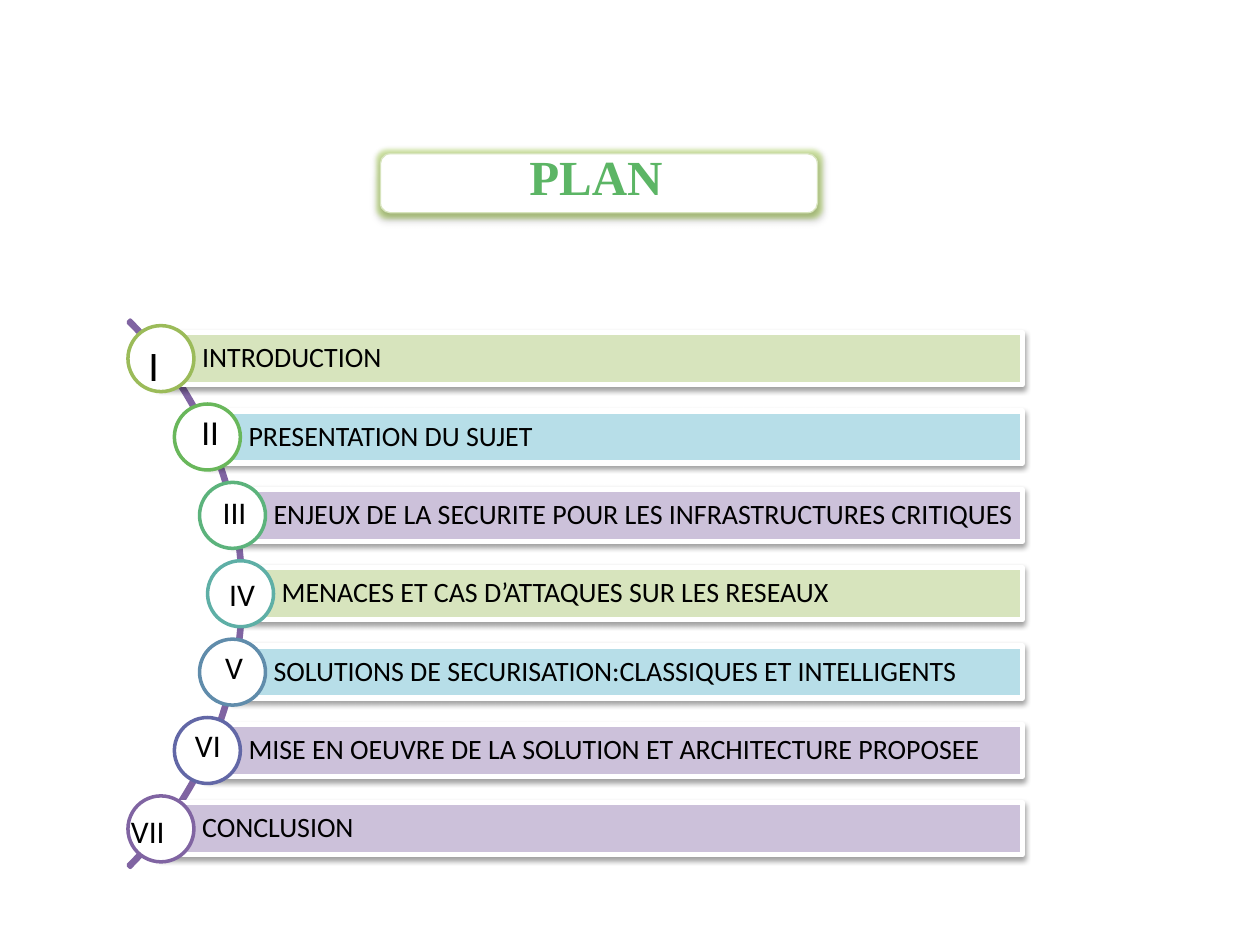
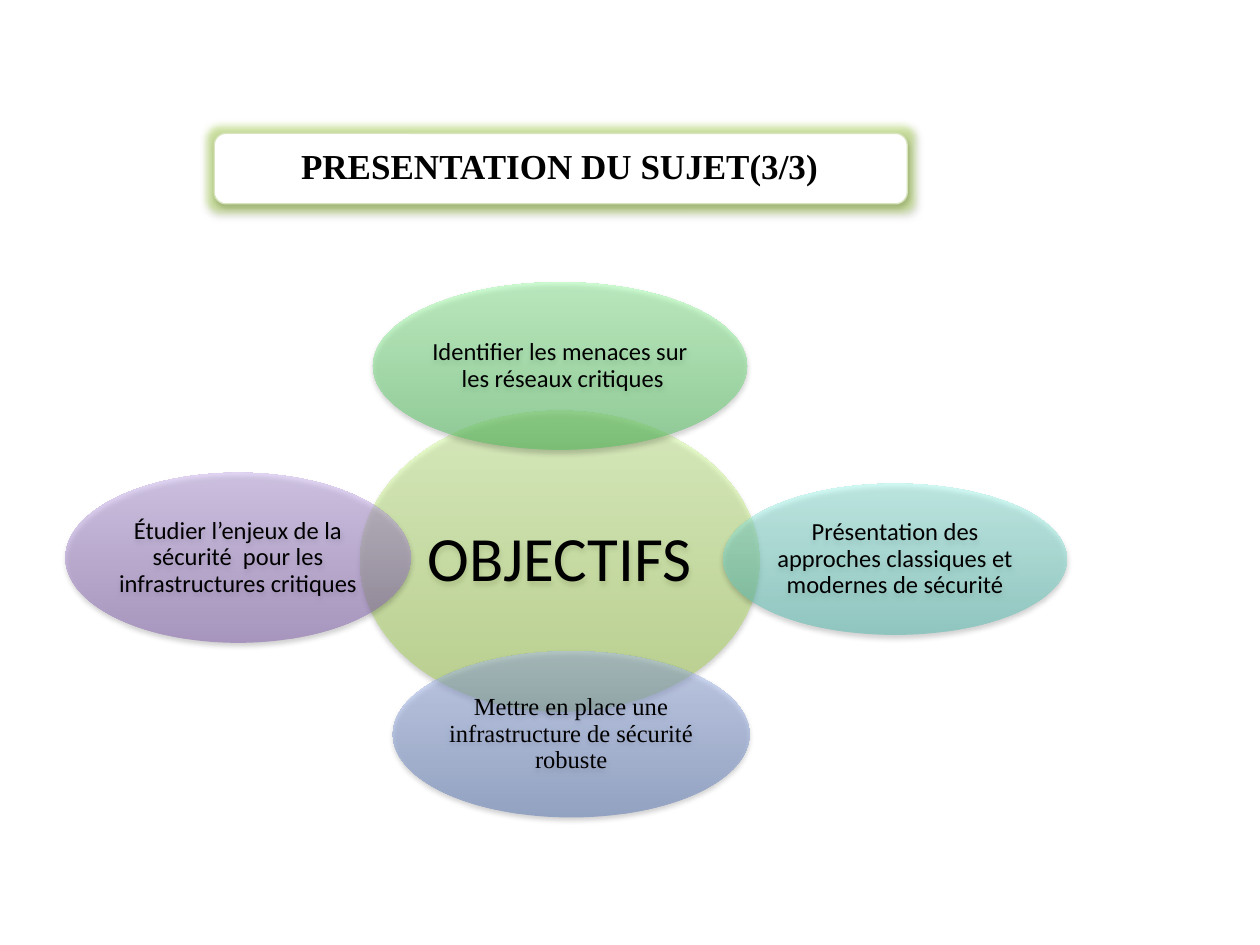
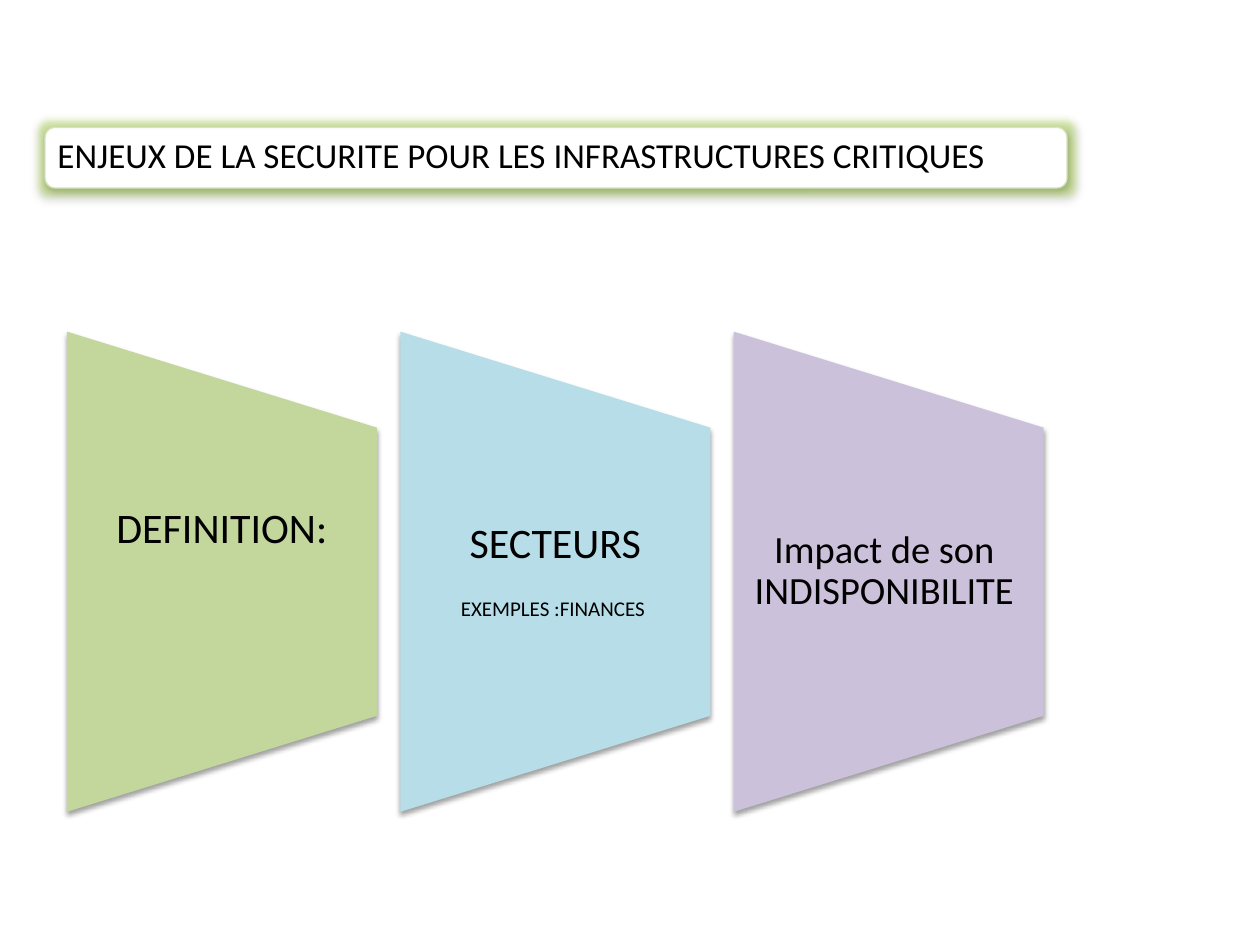
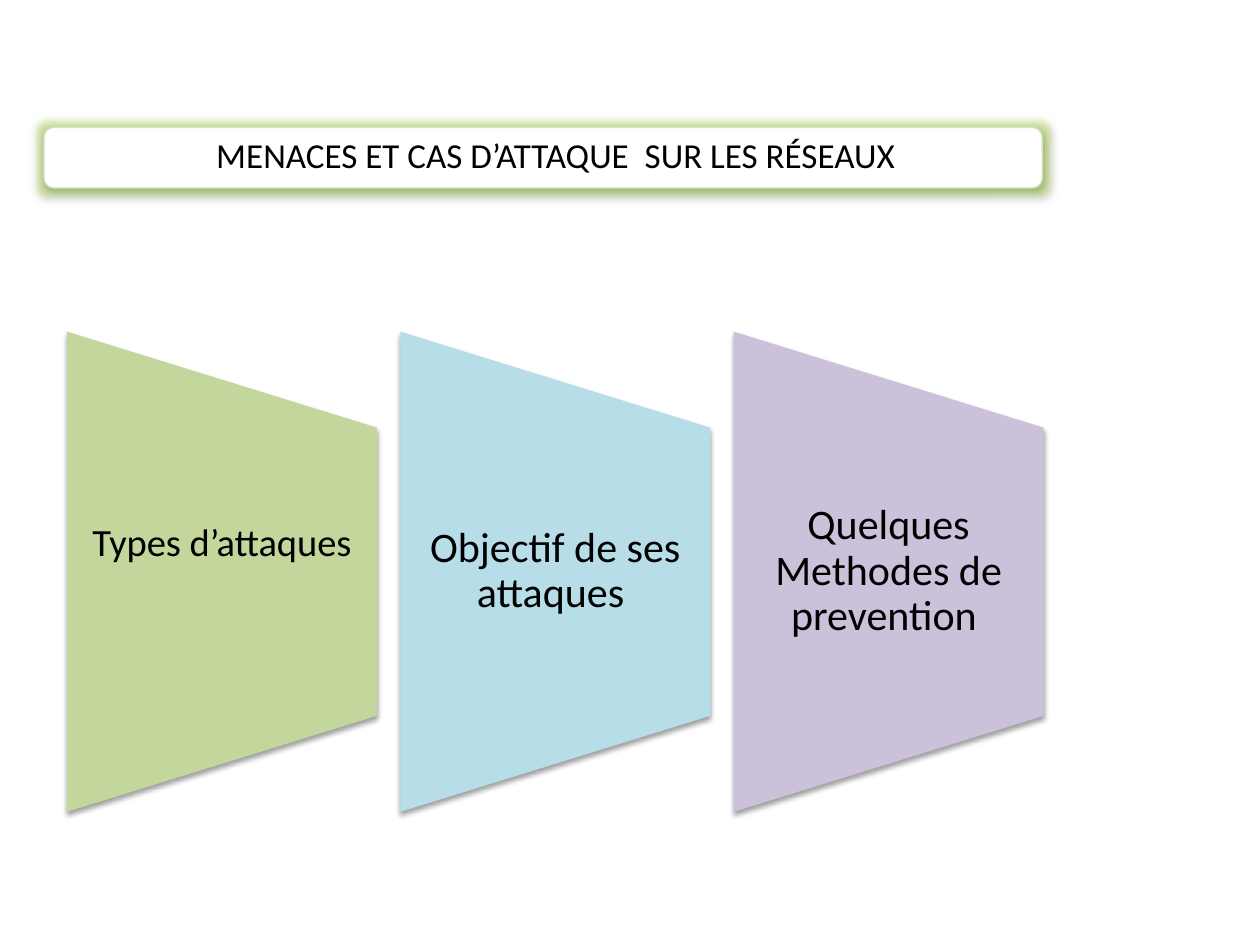
"""Builds four slides on securing critical infrastructures."""
from dataclasses import dataclass
from math import sqrt

from lxml import etree
from pptx import Presentation
from pptx import util as u
from pptx.dml.color import RGBColor
from pptx.enum import shapes, text
from pptx.oxml.ns import qn


@dataclass(frozen=True)
class Theme:
    ink: str = "000000"
    white: str = "FFFFFF"
    title: str = "5CB565"
    pale: str = "D7E4BD"
    leaf: str = "C3D69B"
    sky: str = "B7DEE8"
    lilac: str = "CCC1DA"
    violet: str = "8064A2"
    halo: str = "A5D63C"
    sans: str = "Calibri"
    serif: str = "Times New Roman"
    huge: int = 36
    plan: int = 28
    big: int = 24
    mid: int = 22
    head: int = 20
    mark: int = 18
    row: int = 16
    body: int = 14
    note: int = 12


T = Theme()
KIND = shapes.MSO_SHAPE
LEFT, MID = text.PP_ALIGN.LEFT, text.PP_ALIGN.CENTER
TOP, CORE = text.MSO_ANCHOR.TOP, text.MSO_ANCHOR.MIDDLE


def put(slide, kind, box, fill=None, edge=None, wide=0, cast=True, glow=0):
    shape = slide.shapes.add_shape(kind, *map(u.Cm, box))
    shape.shadow.inherit = False
    if isinstance(fill, tuple):
        shape.fill.gradient()
        shape.fill.gradient_angle = 90
        for stop, tone in zip(shape.fill.gradient_stops, fill):
            stop.color.rgb = RGBColor.from_string(tone)
        for tone in shape.element.spPr.iter(qn("a:srgbClr")):
            etree.SubElement(tone, qn("a:alpha"), val="50000")
    elif fill:
        shape.fill.solid()
        shape.fill.fore_color.rgb = RGBColor.from_string(fill)
    else:
        shape.fill.background()
    if edge:
        shape.line.color.rgb = RGBColor.from_string(edge)
        shape.line.width = u.Pt(wide)
    else:
        shape.line.fill.background()
    looks = []
    if glow:
        looks.append(("glow", {"rad": str(u.Pt(glow))}, T.halo, "40000"))
    if cast:
        fall = {"blurRad": str(u.Pt(3.1)), "dist": str(u.Pt(1.7)),
                "dir": "5400000", "rotWithShape": "0"}
        looks.append(("outerShdw", fall, T.ink, "37000"))
    group = shape.element.spPr.find(qn("a:effectLst"))
    for name, attrs, tone, alpha in looks:
        look = etree.SubElement(group, qn("a:" + name), attrs)
        tint = etree.SubElement(look, qn("a:srgbClr"), val=tone)
        etree.SubElement(tint, qn("a:alpha"), val=alpha)
    return shape


def say(shape, lines, face=T.sans, tone=T.ink, bold=False, align=LEFT,
        anchor=TOP, pad=(0.25, 0.13, 0.25, 0.13), pitch=None, gap=0):
    frame = shape.text_frame
    frame.word_wrap = True
    frame.vertical_anchor = anchor
    (frame.margin_left, frame.margin_top,
     frame.margin_right, frame.margin_bottom) = map(u.Cm, pad)
    for i, (words, size) in enumerate(lines):
        para = frame.add_paragraph() if i else frame.paragraphs[0]
        para.alignment = align
        if pitch:
            para.line_spacing = pitch
        if i:
            para.space_before = u.Pt(gap)
        run = para.add_run()
        run.text = words
        run.font.name, run.font.size = face, u.Pt(size)
        run.font.bold = bold
        run.font.color.rgb = RGBColor.from_string(tone)


deck = Presentation()
deck.slide_width, deck.slide_height = u.Cm(25.4), u.Cm(19.05)
pages = [deck.slides.add_slide(deck.slide_layouts[6]) for _ in range(4)]
plan, goals, stakes, threats = pages

arc = put(plan, KIND.BLOCK_ARC, (-10.69, 4.17, 15.6, 15.6),
          edge=T.violet, wide=2, cast=False)
for i, turn in enumerate((189, 27, 0.004)):
    arc.adjustments[i] = turn

topics = [
    ("INTRODUCTION", T.pale, "9BBB59"),
    ("PRESENTATION DU SUJET", T.sky, "69B75B"),
    ("ENJEUX DE LA SECURITE POUR LES INFRASTRUCTURES CRITIQUES",
     T.lilac, "5CB37C"),
    ("MENACES ET CAS D’ATTAQUES SUR LES RESEAUX", T.pale, "5EAFA6"),
    ("SOLUTIONS DE SECURISATION:CLASSIQUES ET INTELLIGENTS",
     T.sky, "608CAB"),
    ("MISE EN OEUVRE DE LA SOLUTION ET ARCHITECTURE PROPOSEE",
     T.lilac, "6267A6"),
    ("CONCLUSION", T.lilac, T.violet),
]
step, bar, ball, radius, right = 1.58, 1.05, 1.33, 7.8, 20.61
for i, (words, fill, ring) in enumerate(topics):
    drop = (i - 3) * step
    x = sqrt(radius ** 2 - drop ** 2) - 2.95
    y = 11.97 + drop
    strip = put(plan, KIND.RECTANGLE, (x, y - bar / 2, right - x, bar),
                fill, T.white, 3)
    say(strip, [(words, T.row)], anchor=CORE, pad=(0.83, 0.1, 0.1, 0.1),
        pitch=0.9)
    put(plan, KIND.OVAL, (x - ball / 2, y - ball / 2, ball, ball),
        T.white, ring, 2, cast=False)

marks = [
    ("I", T.big, (2.74, 6.71, 0.94, 1.27)),
    ("II", T.head, (3.81, 8.15, 0.97, 1.12)),
    ("III", T.mark, (4.24, 9.8, 1.98, 1.02)),
    ("IV", T.mark, (4.37, 11.46, 1.42, 1.02)),
    ("V", T.mark, (4.29, 12.93, 12.7, 1.02)),
    ("VI", T.mark, (3.68, 14.5, 12.7, 1.02)),
    ("VII", T.mark, (2.39, 16.23, 12.7, 1.02)),
]
for words, size, box in marks:
    say(plan.shapes.add_textbox(*map(u.Cm, box)), [(words, size)])

ovals = [
    ("OBJECTIFS", T.huge, T.sans, ("A0CA4A", "DAFFA5"),
     (7.26, 8.28, 8.05, 6.07)),
    ("Identifier les menaces sur  les réseaux critiques", T.body, T.sans,
     ("4EC25B", "A4FEAB"), (7.52, 5.69, 7.54, 3.38)),
    ("Présentation des approches classiques et modernes de sécurité",
     T.body, T.sans, ("52BBAF", "A8F8ED"), (14.58, 9.75, 6.93, 3.05)),
    ("Mettre en place une infrastructure de sécurité robuste",
     T.body, T.serif, ("5675B3", "ACBFF3"), (7.92, 13.13, 7.19, 3.35)),
    ("Étudier l’enjeux de la sécurité  pour les infrastructures critiques ",
     T.body, T.sans, ("7F5BAB", "C8B0ED"), (1.32, 9.53, 6.96, 3.43)),
]
for words, size, face, fill, box in ovals:
    say(put(goals, KIND.OVAL, box, fill), [(words, size)], face,
        align=MID, anchor=CORE, pad=(0.05,) * 4, pitch=0.9)

panels = [
    (stakes, [
        ([("DEFINITION:", T.big)], 1.67),
        ([("SECTEURS", T.big), ("EXEMPLES :FINANCES ", T.note)], 0),
        ([("Impact de son  INDISPONIBILITE ", T.mid)], 0),
    ]),
    (threats, [
        ([("Types d’attaques", T.mid)], 1.11),
        ([("Objectif de ses attaques ", T.big)], 0),
        ([("Quelques Methodes de prevention ", T.big)], 0),
    ]),
]
tall, wide = 9.68, 6.25
for page, cells in panels:
    for i, (lines, lift) in enumerate(cells):
        x = 1.35 + i * 6.72
        slab = put(page, KIND.FLOWCHART_MANUAL_OPERATION,
                   (x + (wide - tall) / 2, 8.4, tall, wide),
                   (T.leaf, T.sky, T.lilac)[i])
        slab.rotation = 270
        label = page.shapes.add_textbox(*map(u.Cm, (x, 8.61, wide, 5.82)))
        say(label, lines, align=MID, anchor=CORE,
            pad=(0.4, 0, 0.4, lift), pitch=0.9, gap=17.5)

heads = [
    (plan, "PLAN", T.plan, T.serif, T.title, True, MID, 5,
     (7.67, 3.1, 8.81, 1.19), (7.14, 2.82, 9.75, 1.45)),
    (goals, "PRESENTATION DU SUJET(3/3)", T.head, T.serif, T.ink, True,
     LEFT, 8, (4.32, 2.69, 13.97, 1.42), (5.82, 2.79, 11.46, 1.96)),
    (stakes, "ENJEUX DE LA SECURITE POUR LES INFRASTRUCTURES CRITIQUES",
     T.head, T.sans, T.ink, False, LEFT, 8,
     (0.91, 2.57, 20.6, 1.22), (0.91, 2.57, 20.6, 1.96)),
    (threats, "MENACES ET CAS D’ATTAQUE  SUR LES RÉSEAUX",
     T.head, T.sans, T.ink, False, LEFT, 8,
     (0.89, 2.57, 20.12, 1.22), (4.11, 2.57, 16.92, 1.12)),
]
for page, words, size, face, tone, bold, align, glow, box, area in heads:
    put(page, KIND.ROUNDED_RECTANGLE, box, T.white, T.pale, 0.75, glow=glow)
    say(page.shapes.add_textbox(*map(u.Cm, area)), [(words, size)],
        face, tone, bold, align)

deck.save("out.pptx")
